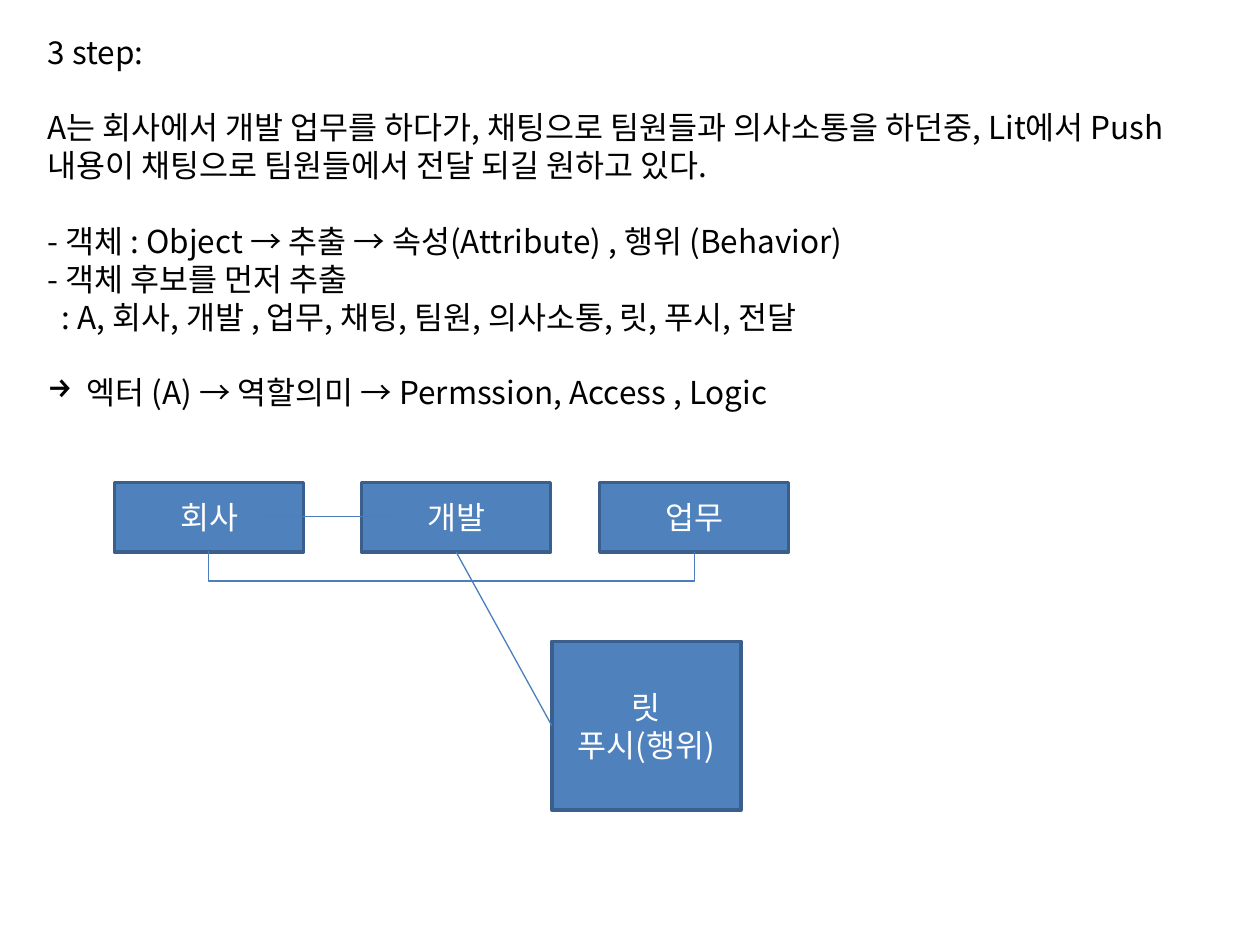
"""Build the "3 step" slide: extracting objects from a scenario, with a small object diagram."""
import pptx
import pptx.util
import pptx.dml.color
import pptx.enum.shapes
import pptx.enum.text
import pptx.oxml.ns
import lxml.etree

Inches = pptx.util.Inches
Pt = pptx.util.Pt
qn = pptx.oxml.ns.qn
FONT = "Noto Sans CJK KR"


def color(hex_value):
    return pptx.dml.color.RGBColor.from_string(hex_value)


def add_text(paragraph, text, hex_value):
    run = paragraph.add_run()
    run.text = text
    run.font.size = Pt(18)
    run.font.name = FONT
    run.font.color.rgb = color(hex_value)
    lxml.etree.SubElement(run.font._element, qn("a:ea")).set("typeface", FONT)


deck = pptx.Presentation()
deck.slide_width, deck.slide_height = Inches(10), Inches(7.5)
slide = deck.slides.add_slide(deck.slide_layouts[6])

scenario = slide.shapes.add_textbox(Inches(0.28), Inches(0.21), Inches(9.29), Inches(4.04)).text_frame
scenario.word_wrap = True
LINE_GAP = 21.7
steps = [
    ("3 step:", 0, 0, None),
    ("A는 회사에서 개발 업무를 하다가, 채팅으로 팀원들과 의사소통을 하던중, Lit에서 "
     "Push내용이 채팅으로 팀원들에서 전달 되길 원하고 있다.", LINE_GAP, 0, None),
    ("- 객체 : Object → 추출 → 속성(Attribute) , 행위 (Behavior)", LINE_GAP, 0, None),
    ("- 객체 후보를 먼저 추출", 0, 0, None),
    (": A, 회사, 개발 , 업무, 채팅, 팀원, 의사소통, 릿, 푸시, 전달", 0, 0.11, None),
    ("엑터 (A) → 역할의미 → Permssion, Access , Logic", LINE_GAP, 0.31, "→"),
]
for index, (text, gap, indent, bullet) in enumerate(steps):
    step = scenario.paragraphs[0] if index == 0 else scenario.add_paragraph()
    step.space_before = Pt(gap)
    add_text(step, text, "000000")
    properties = step._p.get_or_add_pPr()
    properties.set("marL", str(Inches(indent)))
    if bullet:
        properties.set("indent", str(-Inches(indent)))
        lxml.etree.SubElement(properties, qn("a:buChar")).set("char", bullet)

objects = [
    (["회사"], 0.91, 3.83, 0.55),
    (["개발"], 2.87, 3.83, 0.55),
    (["업무"], 4.76, 3.83, 0.55),
    (["릿", "푸시(행위)"], 4.38, 5.09, 1.34),
]
boxes = []
for lines, left, top, height in objects:
    box = slide.shapes.add_shape(pptx.enum.shapes.MSO_SHAPE.RECTANGLE,
                                 Inches(left), Inches(top), Inches(1.5), Inches(height))
    box.shadow.inherit = False
    box.fill.solid()
    box.fill.fore_color.rgb = color("4F81BD")
    box.line.color.rgb = color("3A5F8C")
    box.line.width = Pt(2)
    box.text_frame.vertical_anchor = pptx.enum.text.MSO_ANCHOR.MIDDLE
    for index, line in enumerate(lines):
        label = box.text_frame.paragraphs[0] if index == 0 else box.text_frame.add_paragraph()
        label.alignment = pptx.enum.text.PP_ALIGN.CENTER
        add_text(label, line, "FFFFFF")
    boxes.append(box)
company, development, work, repository = boxes

STRAIGHT = pptx.enum.shapes.MSO_CONNECTOR.STRAIGHT
ELBOW = pptx.enum.shapes.MSO_CONNECTOR.ELBOW
links = []
for route, *ends in [
    (STRAIGHT, 3.62, 4.38, 4.38, 5.76),
    (STRAIGHT, 2.09, 4.1, 3.11, 4.1),
    (ELBOW, 3.59, 2.45, 3.58, 6.31),
]:
    link = slide.shapes.add_connector(route, *[Inches(end) for end in ends])
    link.line.color.rgb = color("4B7EBC")
    link.line.width = Pt(0.75)
    lxml.etree.SubElement(link._element.spPr, qn("a:effectLst"))
    links.append(link)
development_to_repository, company_to_development, company_to_work = links

development_to_repository.begin_connect(development, 2)
development_to_repository.end_connect(repository, 1)

elbow = company_to_work._element.spPr
elbow.find(qn("a:xfrm")).set("rot", str(270 * 60000))
bend = lxml.etree.SubElement(elbow.find(qn("a:prstGeom")).find(qn("a:avLst")), qn("a:gd"))
bend.set("name", "adj1")
bend.set("fmla", "val 2400000")

deck.save("out.pptx")
